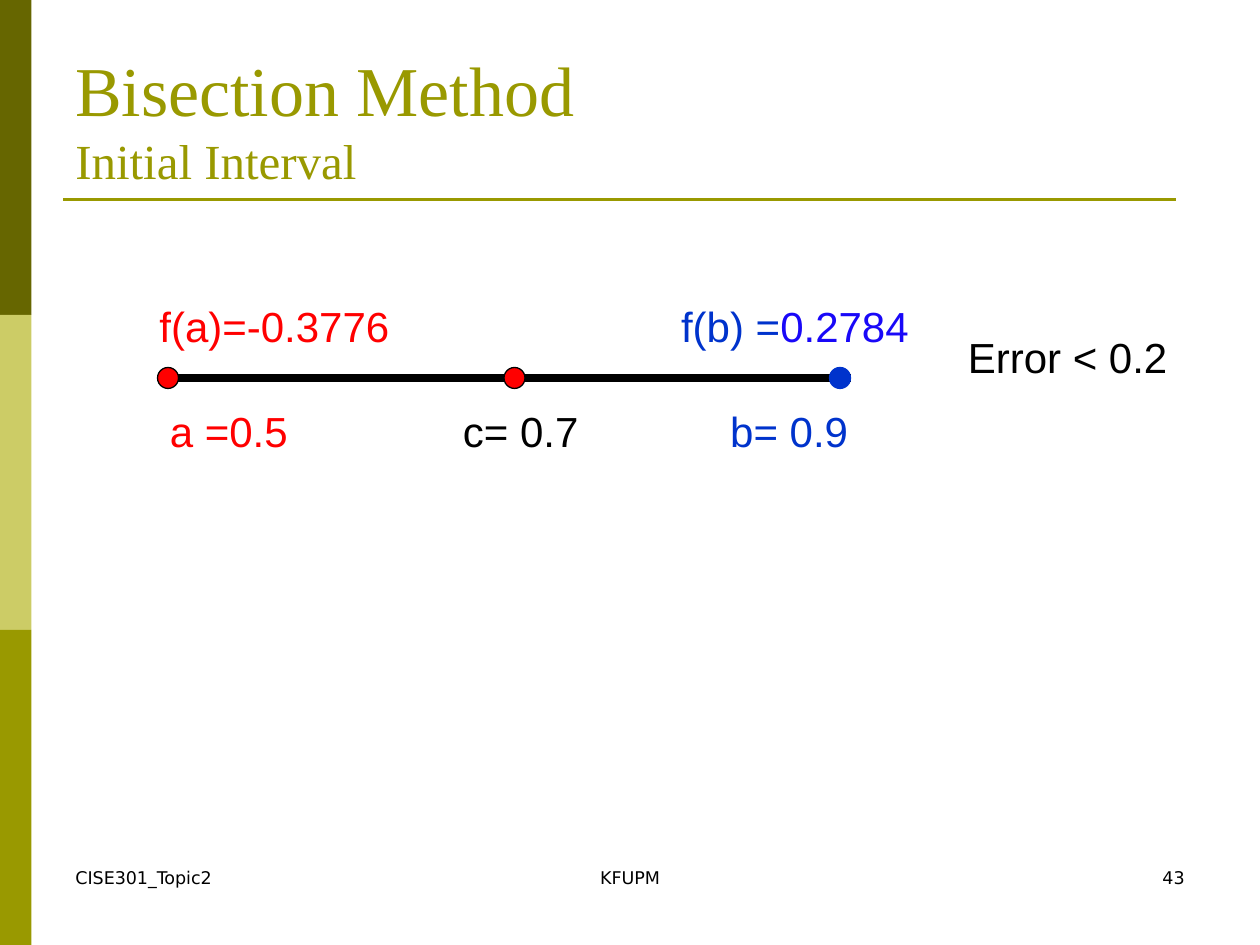
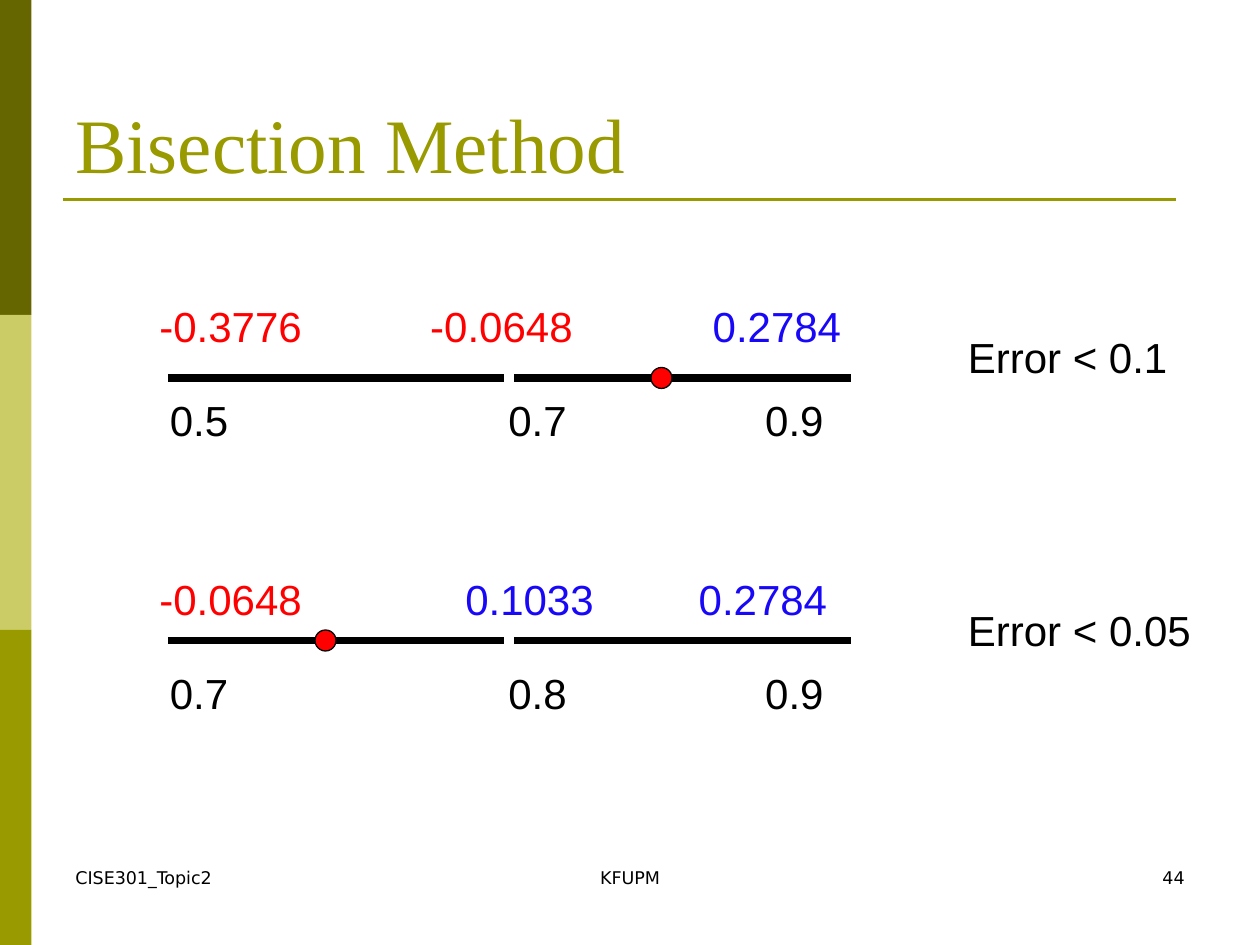
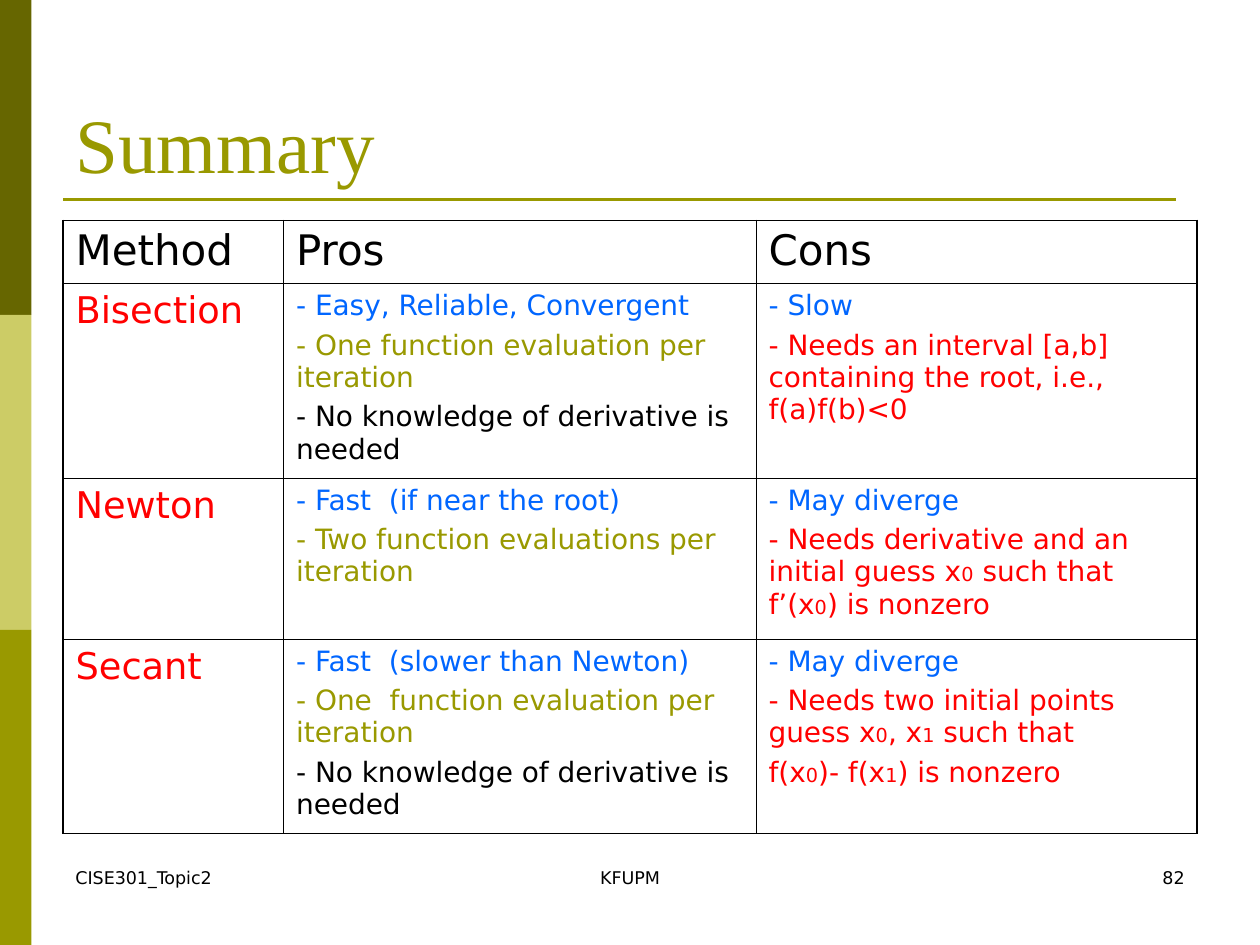
import pptx
import pptx.dml.color
import pptx.enum.shapes
import pptx.enum.text
import pptx.oxml
import pptx.oxml.ns
import pptx.util
from lxml import etree

Pt = pptx.util.Pt
ALIGN = pptx.enum.text.PP_ALIGN
SHAPE = pptx.enum.shapes.MSO_SHAPE
OLIVE, DARK, PALE = "999900", "666600", "CCCC66"
BLACK, RED, BLUE, VIOLET, SKY = "000000", "FF0000", "0033CC", "1908F8", "0066FF"


def rgb(value):
    """Turn a hex string into a colour."""
    return pptx.dml.color.RGBColor.from_string(value)


def style(font, name=None, size=None, color=None):
    """Set the given properties of a font."""
    if name:
        font.name = name
    if size:
        font.size = Pt(size)
    if color:
        font.color.rgb = rgb(color)


class Deck:
    """Holds the presentation, its style and the current slide."""

    title_font, label_font, body_font = "Times New Roman", "Arial", "DejaVu Sans"

    def __init__(self):
        """Start an empty 10 by 7.5 inch presentation."""
        self.prs = pptx.Presentation()
        self.prs.slide_width, self.prs.slide_height = Pt(720), Pt(540)

    def slide(self, number, *title):
        """Add a slide with bands, rule, footers and title lines of (text, size)."""
        self.s = self.prs.slides.add_slide(self.prs.slide_layouts[6])
        for i, color in enumerate((DARK, PALE, OLIVE)):
            self.shape(SHAPE.RECTANGLE, 0, 180 * i, 18, 180, color)
        self.line(36, 672, 114, OLIVE, 1.5)
        for x, w, text, align in ((36, 168, "CISE301_Topic2", ALIGN.LEFT),
                                  (246, 228, "KFUPM", ALIGN.CENTER),
                                  (516, 168, str(number), ALIGN.RIGHT)):
            p = self.box(x, 492, w).paragraphs[0]
            p.alignment = align
            self.runs(p, [(text, BLACK, 10)], self.body_font)
        tf = self.box(36, 21.6, 648, 90)
        tf.vertical_anchor = pptx.enum.text.MSO_ANCHOR.BOTTOM
        p = tf.paragraphs[0]
        for i, (text, size) in enumerate(title):
            if i:
                p.add_line_break()
            r = p.add_run()
            r.text = text
            style(r.font, size=size)
        style(p.font, self.title_font, title[0][1], OLIVE)

    def shape(self, kind, x, y, w, h, fill, line=None):
        """Add a filled preset shape, outlined if a line colour is given."""
        sp = self.s.shapes.add_shape(kind, Pt(x), Pt(y), Pt(w), Pt(h))
        sp.shadow.inherit = False
        sp.fill.solid()
        sp.fill.fore_color.rgb = rgb(fill)
        if line:
            sp.line.color.rgb = rgb(line)
            sp.line.width = Pt(0.75)
        else:
            sp.line.fill.background()

    def line(self, x1, x2, y, color, width):
        """Add a horizontal line."""
        c = self.s.shapes.add_connector(
            pptx.enum.shapes.MSO_CONNECTOR.STRAIGHT, Pt(x1), Pt(y), Pt(x2), Pt(y))
        c.line.color.rgb = rgb(color)
        c.line.width = Pt(width)
        etree.SubElement(c._element.spPr, pptx.oxml.ns.qn("a:effectLst"))

    def box(self, x, y, w, h=36):
        """Add a wrapping text box and return its text frame."""
        tf = self.s.shapes.add_textbox(Pt(x), Pt(y), Pt(w), Pt(h)).text_frame
        tf.word_wrap = True
        return tf

    def runs(self, p, runs, name):
        """Add runs of (text, colour, size), styling the paragraph where they agree."""
        colors = {color for _, color, _ in runs}
        sizes = {size for _, _, size in runs}
        style(p.font, name, runs[0][2] if len(sizes) == 1 else None,
              runs[0][1] if len(colors) == 1 else None)
        for text, color, size in runs:
            r = p.add_run()
            r.text = text
            style(r.font, size=size if len(sizes) > 1 else None,
                  color=color if len(colors) > 1 else None)

    def label(self, x, y, w, *runs, tabs=()):
        """Add a diagram label of (text, colour) runs set on tab stops."""
        p = self.box(x, y, w).paragraphs[0]
        if tabs:
            qn = pptx.oxml.ns.qn
            tab_list = etree.SubElement(p._p.get_or_add_pPr(), qn("a:tabLst"))
            for pos in tabs:
                etree.SubElement(tab_list, qn("a:tab"), pos=str(Pt(pos)), algn="l")
        self.runs(p, [(text, color, 24) for text, color in runs], self.label_font)

    def interval(self, y):
        """Add the two halves of an interval."""
        for x in (294, 96):
            self.line(x, x + 192, y, BLACK, 4.5)

    def dot(self, x, y, fill=RED, line=BLACK):
        """Add a point centred on x and y."""
        self.shape(SHAPE.OVAL, x - 6, y - 6, 12, 12, fill, line)

    def table(self, x, y, widths, heights, rows):
        """Add a ruled table whose cells are lists of (text, colour, size)."""
        table = self.s.shapes.add_table(len(rows), len(widths), Pt(x), Pt(y),
                                        Pt(sum(widths)), Pt(sum(heights))).table
        table.first_row = table.horz_banding = False
        for col, w in zip(table.columns, widths):
            col.width = Pt(w)
        for i, (row, h) in enumerate(zip(rows, heights)):
            table.rows[i].height = Pt(h)
            for j, paragraphs in enumerate(row):
                cell = table.cell(i, j)
                self.cell(cell, paragraphs)
                self.borders(cell, L=j == 0, R=j == len(widths) - 1,
                             T=i == 0, B=i == len(rows) - 1)

    def cell(self, cell, paragraphs):
        """Write a cell; a digit after an underscore is set small."""
        cell.fill.background()
        tf = cell.text_frame
        for i, (text, color, size) in enumerate(paragraphs):
            p = tf.add_paragraph() if i else tf.paragraphs[0]
            if i:
                p.space_before = Pt(4)
            first, *rest = text.split("_")
            runs = [(first, color, size)]
            for part in rest:
                runs += [(part[0], color, 11), (part[1:], color, size)]
            self.runs(p, runs, self.body_font)

    def borders(self, cell, **outer):
        """Rule the sides of a cell, heavier on the outside of the table."""
        for k, (side, heavy) in enumerate(outer.items()):
            cell._tc.get_or_add_tcPr().insert(k, pptx.oxml.parse_xml(
                f'<a:ln{side} {pptx.oxml.ns.nsdecls("a")} w="{Pt(1.08 if heavy else 0.45)}">'
                f'<a:solidFill><a:srgbClr val="{BLACK}"/></a:solidFill></a:ln{side}>'))


def main():
    """Build the three slides."""
    d = Deck()

    d.slide(43, ("Bisection Method", 40), ("Initial Interval", 28))
    d.label(90, 228, 438, ("a =0.5\t", RED), ("c= 0.7\t", BLACK), ("b= 0.9", BLUE),
            tabs=(167.4, 320.2))
    d.label(84, 168, 516, ("f(a)=-0.3776\t", RED), ("f(b) =", BLUE), ("0.2784", VIOLET),
            tabs=(298.1,))
    d.interval(216)
    d.dot(480, 216, BLUE, BLUE)
    d.dot(294, 216)
    d.dot(96, 216)
    d.label(546, 186, 144, ("Error < 0.2", BLACK))

    d.slide(44, ("Bisection Method", 44))
    steps = (
        (168, 216, 378, "0.5\t0.7\t0.9", "-0.3776\t-0.0648\t", "0.2784",
         (154.8, 316.2), "Error < 0.1", 144),
        (324, 366, 186, "0.7\t0.8\t0.9", "-0.0648\t", "0.1033\t0.2784",
         (174.8, 308.2), "Error < 0.05", 156),
    )
    for top, axis, middle, points, negative, positive, tabs, error, width in steps:
        d.label(90, top + 54, 402, (points, BLACK), tabs=(193.4, 340.2))
        d.label(84, top, 432, (negative, RED), (positive, VIOLET), tabs=tabs)
        d.label(546, top + 18, width, (error, BLACK))
        d.interval(axis)
        d.dot(middle, axis)

    d.slide(82, ("Summary", 44))
    no_derivative = "- No knowledge of derivative is needed"
    methods = (
        ("Bisection",
         ("- Easy, Reliable, Convergent", "- One function evaluation per iteration",
          no_derivative),
         ("- Slow", "- Needs an interval [a,b] containing the root, i.e., f(a)f(b)<0")),
        ("Newton",
         ("- Fast  (if near the root)", "- Two function evaluations per iteration"),
         ("- May diverge",
          "- Needs derivative and an initial guess x_0 such that f’(x_0) is nonzero")),
        ("Secant",
         ("- Fast  (slower than Newton)", "- One  function evaluation per iteration",
          no_derivative),
         ("- May diverge", "- Needs two initial points guess x_0, x_1 such that",
          "f(x_0)- f(x_1) is nonzero")),
    )
    rows = [[[(head, BLACK, 24)] for head in ("Method", "Pros", "Cons")]]
    for name, pros, cons in methods:
        rows.append([[(name, RED, 21)],
                     [(t, c, 16) for t, c in zip(pros, (SKY, OLIVE, BLACK))],
                     [(t, c, 16) for t, c in zip(cons, (SKY, RED, RED))]])
    d.table(36, 126, (126, 270, 252), (36, 111, 92, 111), rows)

    d.prs.save("out.pptx")


if __name__ == "__main__":
    main()
